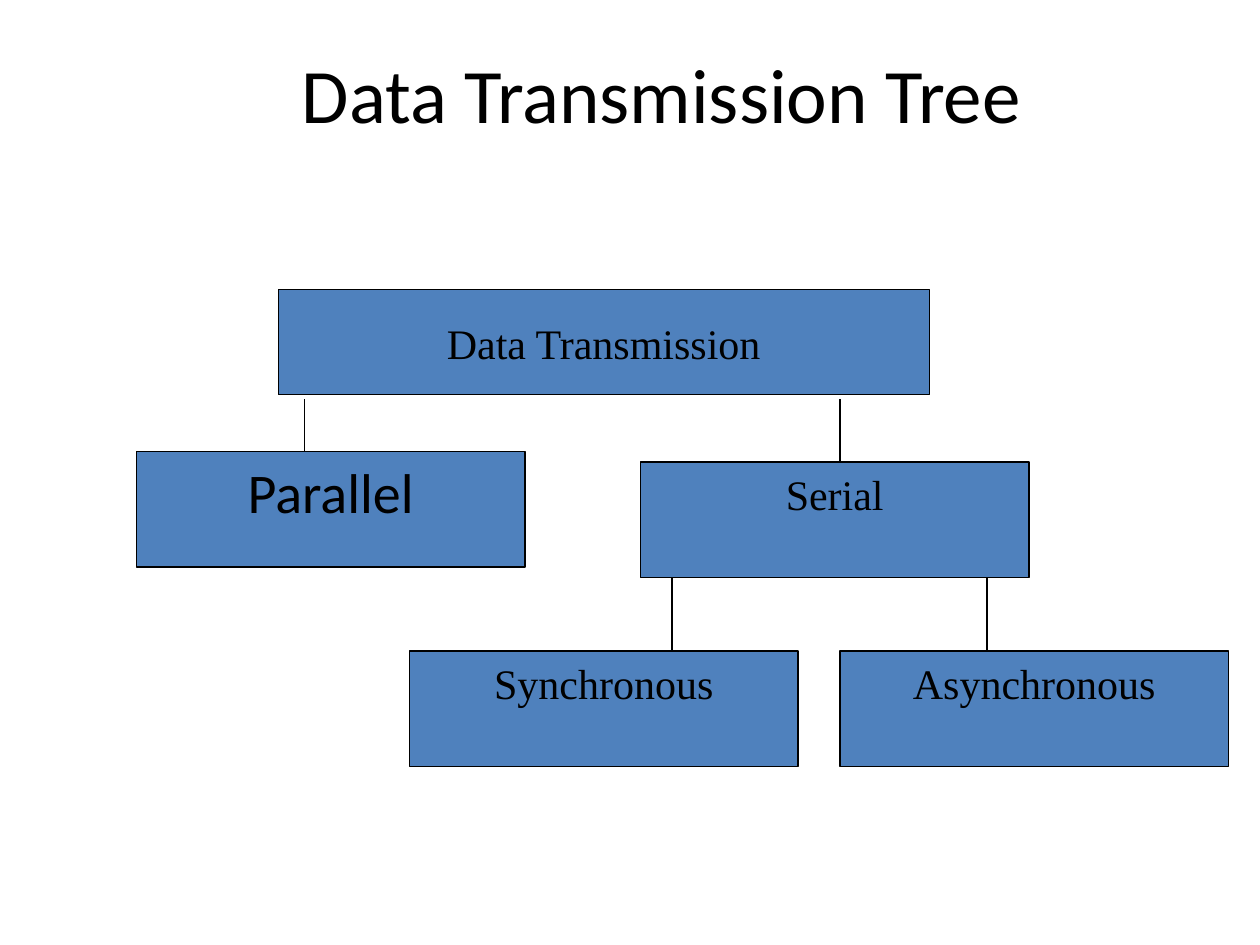
from lxml import etree
from pptx import Presentation
from pptx import util as u
from pptx.dml.color import RGBColor
from pptx.enum import shapes, text
from pptx.oxml.ns import qn

BLACK = RGBColor(0x00, 0x00, 0x00)
BLUE = RGBColor(0x4F, 0x81, 0xBD)
SERIF = "Times New Roman"
SANS = "Calibri"


class TreeSlide:
    """Draws a titled tree on one slide, with lengths in px at 120 to the inch."""

    SCALE = 7620
    LINE = u.Pt(0.75)

    def __init__(self, prs):
        prs.slide_width, prs.slide_height = self.px(1200, 900)
        self.slide = prs.slides.add_slide(prs.slide_layouts[5])

    def px(self, *lengths):
        return [u.Emu(n * self.SCALE) for n in lengths]

    def label(self, sp, words, font, size, before=0, **frame):
        tf = sp.text_frame
        for name, value in frame.items():
            setattr(tf, name, value)
        p = tf.paragraphs[0]
        p.alignment = text.PP_ALIGN.CENTER
        p.space_before = u.Pt(before)
        r = p.add_run()
        r.text = words
        for name, value in {"name": font, "size": u.Pt(size)}.items():
            setattr(r.font, name, value)
        r.font.color.rgb = BLACK

    def outline(self, sp):
        sp.line.color.rgb = BLACK
        sp.line.width = self.LINE

    def title(self, words, x, y, w, h):
        sp = self.slide.shapes.title
        sp.left, sp.top, sp.width, sp.height = self.px(x, y, w, h)
        self.label(sp, words, SANS, 44, vertical_anchor=text.MSO_ANCHOR.MIDDLE)

    def box(self, words, x, y, w=370, h=110, font=SERIF, size=24, before=3,
            anchor=text.MSO_ANCHOR.TOP, wrap=True):
        sp = self.slide.shapes.add_shape(
            shapes.MSO_SHAPE.RECTANGLE, *self.px(x, y, w, h))
        sp.shadow.inherit = False
        sp.fill.solid()
        sp.fill.fore_color.rgb = BLUE
        self.outline(sp)
        self.label(sp, words, font, size, before,
                   vertical_anchor=anchor, word_wrap=wrap)

    def branch(self, x, top, bottom):
        sp = self.slide.shapes.add_connector(
            shapes.MSO_CONNECTOR.STRAIGHT, *self.px(x, bottom, x, top))
        self.outline(sp)
        etree.SubElement(sp._element.spPr, qn("a:effectLst"))


def main():
    prs = Presentation()
    tree = TreeSlide(prs)
    tree.title("Data Transmission Tree", 120, 36, 1020, 104)
    tree.box("Parallel", 130, 430, font=SANS, size=32)
    tree.box("Data Transmission", 265, 276, 620, 100, before=5,
             anchor=text.MSO_ANCHOR.MIDDLE, wrap=False)
    tree.box("Serial", 610, 440)
    for words, x in (("Synchronous", 390), ("Asynchronous", 800)):
        tree.box(words, x, 620)
    for x, top, bottom in ((290, 380, 430), (800, 380, 440),
                           (640, 550, 620), (940, 550, 620)):
        tree.branch(x, top, bottom)
    prs.save("out.pptx")


if __name__ == "__main__":
    main()
